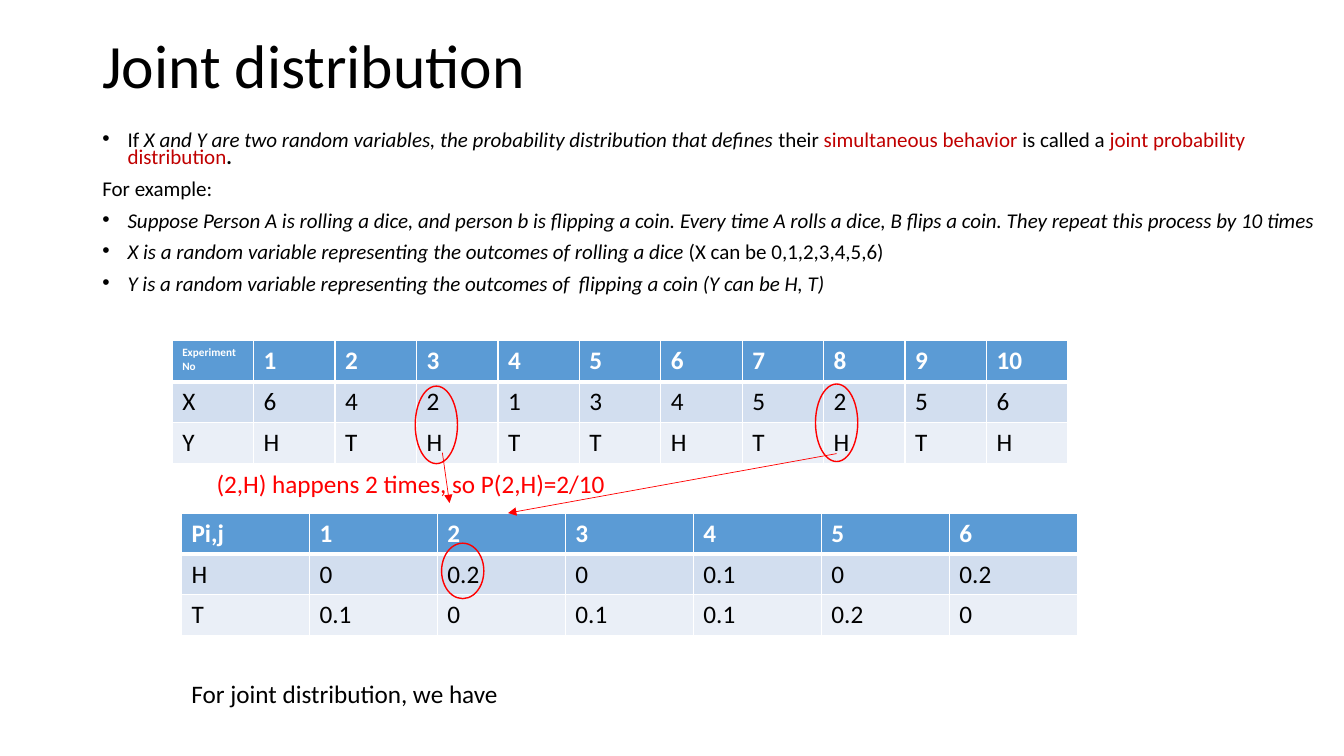
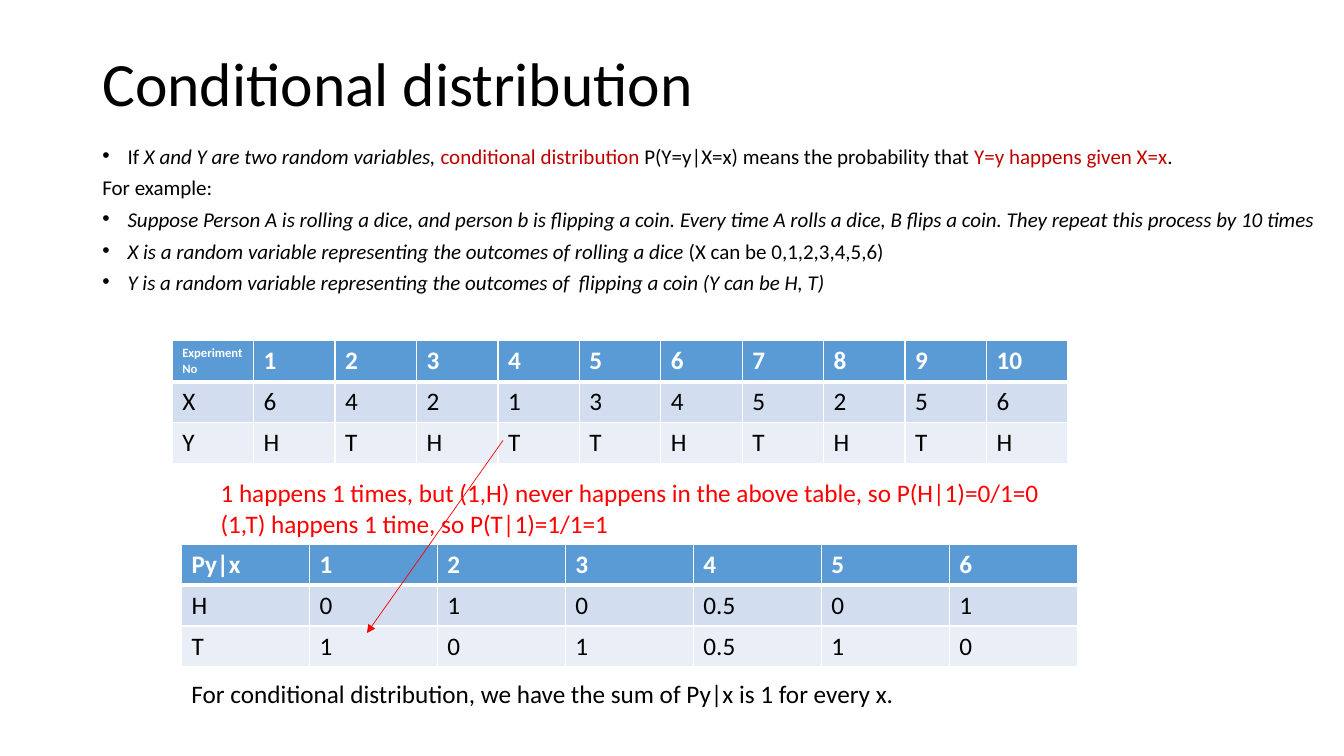
from dataclasses import dataclass

from lxml.etree import SubElement
from pptx import Presentation
from pptx.dml.color import RGBColor as Rgb
from pptx.enum.shapes import MSO_CONNECTOR as Connector, MSO_SHAPE as Shape
from pptx.enum.text import MSO_ANCHOR as Anchor, MSO_AUTO_SIZE as AutoSize
from pptx.oxml.ns import qn
from pptx.util import Pt


@dataclass(frozen=True)
class Theme:
    """Colours, font and type sizes shared by the slides."""
    font: str = "Calibri"
    ink: Rgb = Rgb(0, 0, 0)
    white: Rgb = Rgb(255, 255, 255)
    accent: Rgb = Rgb(0xC0, 0, 0)
    mark: Rgb = Rgb(255, 0, 0)
    header: Rgb = Rgb(0x5B, 0x9B, 0xD5)
    bands: tuple = (Rgb(0xD2, 0xDE, 0xEF), Rgb(0xEA, 0xEF, 0xF7))
    title: float = 44
    body: float = 15
    regular: float = 18
    grid: float = 1
    header_rule: float = 3
    circle_line: float = 1
    arrow_line: float = 0.5


THEME = Theme()
ROW_HEIGHT = 29.2
TABLE_WIDTH = 640
TABLE_HEIGHT = 3 * ROW_HEIGHT
EXPERIMENT_AT = (123, 243.4)
EXPERIMENT_ROWS = [
    ["Experiment\nNo", *range(1, 11)],
    ["X", 6, 4, 2, 1, 3, 4, 5, 2, 5, 6],
    ["Y", *"HTHTTHTHTH"],
]
OUTCOMES = range(1, 7)
EXAMPLE = [
    (False, [("For example:", "")]),
    (True, [("Suppose Person A is rolling a dice, and person b is flipping a coin. "
             "Every time A rolls a dice, B flips a coin. "
             "They repeat this process by 10 times", "italic")]),
    (True, [("X is a random variable representing the outcomes of rolling a dice ", "italic"),
            ("(X can be 0,1,2,3,4,5,6)", "")]),
    (True, [("Y is a random variable representing the outcomes of  flipping a coin "
             "(Y can be H, T)", "italic")]),
]


def points(values):
    """Turn numbers into lengths in points."""
    return [Pt(value) for value in values]


def set_font(font, size, color, bold=False):
    """Apply the theme font with a size, colour and weight."""
    font.name, font.size, font.bold = THEME.font, Pt(size), bold
    font.color.rgb = color


def add_frame(slide, box, wrap=True):
    """Add a text box and return its frame."""
    frame = slide.shapes.add_textbox(*points(box)).text_frame
    frame.word_wrap = wrap
    frame.auto_size = AutoSize.NONE if wrap else AutoSize.SHAPE_TO_FIT_TEXT
    return frame


def add_title(slide, box, wording):
    """Place the slide title."""
    frame = add_frame(slide, box)
    frame.vertical_anchor = Anchor.MIDDLE
    heading = frame.paragraphs[0]
    heading.text = wording
    heading.line_spacing = 0.9
    set_font(heading.font, THEME.title, THEME.ink)


def add_bullet(paragraph):
    """Give a paragraph a round bullet with a hanging indent."""
    properties = paragraph._p.get_or_add_pPr()
    properties.set("marL", str(Pt(18)))
    properties.set("indent", str(-Pt(18)))
    SubElement(properties, qn("a:buFont"), typeface="Arial")
    SubElement(properties, qn("a:buChar"), char="•")


def add_body(slide, box, definition):
    """Place the definition followed by the shared example."""
    frame = add_frame(slide, box)
    for index, (bulleted, phrases) in enumerate([(True, definition), *EXAMPLE]):
        paragraph = frame.add_paragraph() if index else frame.paragraphs[0]
        paragraph.line_spacing = 0.7
        paragraph.space_before = Pt(10)
        if bulleted:
            add_bullet(paragraph)
        set_font(paragraph.font, THEME.body, THEME.ink)
        for wording, style in phrases:
            phrase = paragraph.add_run()
            phrase.text = wording
            if style == "italic":
                phrase.font.italic = True
            elif style == "bold":
                phrase.font.bold = True
            elif style == "accent":
                phrase.font.color.rgb = THEME.accent


def add_note(slide, box, lines, color):
    """Place unwrapped lines of regular text."""
    frame = add_frame(slide, box, wrap=False)
    frame.text = "\n".join(lines)
    for paragraph in frame.paragraphs:
        set_font(paragraph.font, THEME.regular, color)


def add_borders(cell, top, bottom):
    """Draw white borders around a cell."""
    properties = cell._tc.get_or_add_tcPr()
    widths = {"a:lnL": THEME.grid, "a:lnR": THEME.grid, "a:lnT": top, "a:lnB": bottom}
    for index, (side, width) in enumerate(widths.items()):
        border = SubElement(properties, qn(side), w=str(Pt(width)))
        fill = SubElement(border, qn("a:solidFill"))
        SubElement(fill, qn("a:srgbClr"), val=str(THEME.white))
        properties.insert(index, border)


def add_grid(slide, at, rows, corner_size=THEME.regular):
    """Place a table with a header row and two banded rows."""
    columns = len(rows[0])
    box = (*at, TABLE_WIDTH, TABLE_HEIGHT)
    table = slide.shapes.add_table(len(rows), columns, *points(box)).table
    for column in table.columns:
        column.width = Pt(TABLE_WIDTH / columns)
    for r, values in enumerate(rows):
        table.rows[r].height = Pt(ROW_HEIGHT)
        is_header = r == 0
        for c, value in enumerate(values):
            cell = table.cell(r, c)
            cell.text = str(value)
            cell.fill.solid()
            cell.fill.fore_color.rgb = THEME.header if is_header else THEME.bands[r - 1]
            add_borders(cell, THEME.header_rule if r == 1 else THEME.grid,
                        THEME.header_rule if is_header else THEME.grid)
            size = corner_size if r == c == 0 else THEME.regular
            for paragraph in cell.text_frame.paragraphs:
                set_font(paragraph.font, size, THEME.white if is_header else THEME.ink, is_header)


def add_arrow(slide, start, end):
    """Draw a thin red arrow between two points."""
    arrow = slide.shapes.add_connector(Connector.STRAIGHT, *points((*start, *end)))
    arrow.line.color.rgb = THEME.mark
    arrow.line.width = Pt(THEME.arrow_line)
    properties = arrow._element.spPr
    SubElement(properties.find(qn("a:ln")), qn("a:tailEnd"), type="triangle")
    SubElement(properties, qn("a:effectLst"))


def add_circle(slide, box):
    """Ring a table value in red."""
    circle = slide.shapes.add_shape(Shape.OVAL, *points(box))
    circle.shadow.inherit = False
    circle.fill.background()
    circle.line.color.rgb = THEME.mark
    circle.line.width = Pt(THEME.circle_line)


def add_distribution(deck, title, title_top, body_box, definition, corner_size,
                     result_top, result_rows, arrows, circles, remark_box, remark,
                     summary_width, summary):
    """Build one slide that goes from the experiment to its distribution."""
    slide = deck.slides.add_slide(deck.slide_layouts[6])
    add_title(slide, (66, title_top, 828, 104.4), title)
    add_body(slide, body_box, definition)
    add_grid(slide, EXPERIMENT_AT, EXPERIMENT_ROWS, corner_size)
    add_grid(slide, (129.6, result_top), result_rows)
    for start, end in arrows:
        add_arrow(slide, start, end)
    add_note(slide, (129.6, 481, summary_width, 29), [summary], THEME.ink)
    add_note(slide, remark_box, remark, THEME.mark)
    for box in circles:
        add_circle(slide, box)


def main():
    """Build and save the deck."""
    deck = Presentation()
    deck.slide_width, deck.slide_height = points((960, 540))
    add_distribution(
        deck, "Joint distribution", -3.6, (66, 91.4, 886.3, 144.7),
        [("If ", ""),
         ("X and Y are two random variables, the probability distribution that defines ", "italic"),
         ("their ", ""), ("simultaneous behavior ", "accent"), ("is called a ", ""),
         ("joint probability distribution", "accent"), (".", "bold")],
        corner_size=8, result_top=366.5,
        result_rows=[["Pi,j", *OUTCOMES],
                     ["H", 0, 0.2, 0, 0.1, 0, 0.2],
                     ["T", 0.1, 0, 0.1, 0.1, 0.2, 0]],
        arrows=[((316, 323.3), (321.1, 359.3)), ((597.6, 324), (362.9, 366.5))],
        circles=[(296.6, 275.8, 30.2, 55.4), (582.5, 274.3, 30.2, 55.4),
                 (315.4, 388, 30.2, 39.6)],
        remark_box=(147.6, 331.2, 295.2, 29),
        remark=["(2,H) happens 2 times, so P(2,H)=2/10"],
        summary_width=236.2, summary="For joint distribution, we have")
    add_distribution(
        deck, "Conditional distribution", 9.4, (66, 103.7, 905.8, 126.7),
        [("If ", ""), ("X and Y are two random variables, ", "italic"),
         ("conditional distribution ", "accent"),
         ("P(Y=y|X=x) means the probability that ", ""),
         ("Y=y happens given X=x", "accent"), (".", "")],
        corner_size=9, result_top=388.8,
        result_rows=[["Py|x", *OUTCOMES],
                     ["H", 0, 1, 0, 0.5, 0, 1],
                     ["T", 1, 0, 1, 0.5, 1, 0]],
        arrows=[((359.3, 314.6), (262.1, 452.2))], circles=[],
        remark_box=(150.5, 337.7, 607, 51),
        remark=["1 happens 1 times, but (1,H) never happens in the above table, so P(H|1)=0/1=0",
                "(1,T) happens 1 time, so P(T|1)=1/1=1"],
        summary_width=517.7,
        summary="For conditional distribution, we have the sum of Py|x is 1 for every x.")
    deck.save("out.pptx")


if __name__ == "__main__":
    main()
